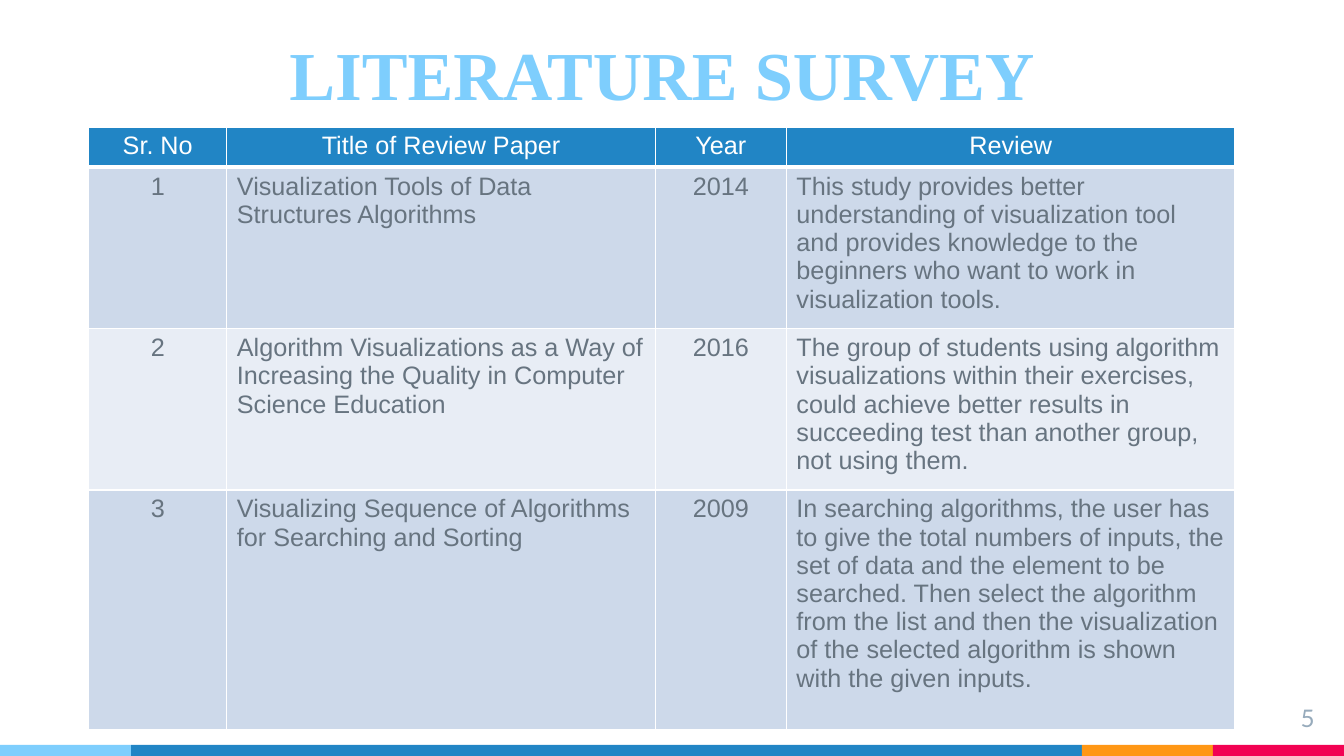
from typing import NamedTuple

from lxml import etree
from pptx import Presentation
from pptx.dml.color import RGBColor
from pptx.enum import shapes, text
from pptx.oxml import ns
from pptx.util import Inches, Pt

WHITE = RGBColor(0xFF, 0xFF, 0xFF)
SKY = RGBColor(0x7E, 0xCE, 0xFD)
BLUE = RGBColor(0x21, 0x85, 0xC5)
ORANGE = RGBColor(0xFF, 0x97, 0x15)
RED = RGBColor(0xF2, 0x02, 0x53)
SLATE = RGBColor(0x67, 0x74, 0x80)
PAGE_GRAY = RGBColor(0x97, 0xAB, 0xBC)
BAND_DARK = RGBColor(0xCD, 0xD9, 0xEA)
BAND_LIGHT = RGBColor(0xE8, 0xED, 0xF5)

CENTER, LEFT, RIGHT = text.PP_ALIGN.CENTER, text.PP_ALIGN.LEFT, text.PP_ALIGN.RIGHT


class Stripe(NamedTuple):
    width: float
    color: RGBColor


class Column(NamedTuple):
    heading: str
    width: float
    align: text.PP_ALIGN


class Paper(NamedTuple):
    title: str
    year: int
    review: str
    height: float


STRIPES = [Stripe(1.3, SKY), Stripe(9.43, BLUE), Stripe(1.3, ORANGE), Stripe(1.3, RED)]

COLUMNS = [
    Column("Sr. No", 1.37, CENTER),
    Column("Title of Review Paper", 4.25, LEFT),
    Column("Year", 1.3, CENTER),
    Column("Review", 4.45, LEFT),
]
HEADER_HEIGHT = 0.4

PAPERS = [
    Paper("Visualization Tools of Data Structures Algorithms", 2014,
          "This study provides better understanding of visualization tool and provides "
          "knowledge to the beginners who want to work in visualization tools.", 1.6),
    Paper("Algorithm Visualizations as a Way of Increasing the Quality in Computer "
          "Science Education", 2016,
          "The group of students using algorithm visualizations within their exercises, "
          "could achieve better results in succeeding test than another group, "
          "not using them.", 1.6),
    Paper("Visualizing Sequence of Algorithms for Searching and Sorting", 2009,
          "In searching algorithms, the user has to give the total numbers of inputs, "
          "the set of data and the element to be searched. Then select the algorithm "
          "from the list and then the visualization of the selected algorithm is shown "
          "with the given inputs.", 2.38),
]


def write(frame, wording: str, font_name: str, size: float, color: RGBColor,
          align: text.PP_ALIGN, bold: bool = False) -> None:
    frame.text = wording
    frame.word_wrap = True
    paragraph = frame.paragraphs[0]
    paragraph.alignment = align
    font = paragraph.runs[0].font
    font.name, font.size, font.bold = font_name, Pt(size), bold
    font.color.rgb = color


def set_margins(frame, margin: float) -> None:
    frame.margin_left = frame.margin_right = Inches(margin)
    frame.margin_top = frame.margin_bottom = Inches(margin)


def add_border(cell, side: str, points: float) -> None:
    line = etree.SubElement(cell._tc.get_or_add_tcPr(), ns.qn(f"a:ln{side}"), w=str(Pt(points)))
    fill = etree.SubElement(line, ns.qn("a:solidFill"))
    etree.SubElement(fill, ns.qn("a:srgbClr"), val=str(WHITE))


def fill_cell(cell, wording: str, color: RGBColor, fill: RGBColor,
              align: text.PP_ALIGN, top: float, bottom: float) -> None:
    write(cell.text_frame, wording, "Arial", 18, color, align)
    for side, points in (("L", 1), ("R", 1), ("T", top), ("B", bottom)):
        add_border(cell, side, points)
    cell.fill.solid()
    cell.fill.fore_color.rgb = fill


def add_stripes(slide) -> None:
    left = 0.0
    for stripe in STRIPES:
        bar = slide.shapes.add_shape(shapes.MSO_SHAPE.RECTANGLE, Inches(left), Inches(7.39),
                                     Inches(stripe.width), Inches(0.11))
        bar.shadow.inherit = False
        bar.fill.solid()
        bar.fill.fore_color.rgb = stripe.color
        bar.line.fill.background()
        left += stripe.width


def add_survey(slide) -> None:
    heights = [HEADER_HEIGHT] + [paper.height for paper in PAPERS]
    survey = slide.shapes.add_table(
        len(heights), len(COLUMNS), Inches(0.88), Inches(1.26),
        Inches(sum(column.width for column in COLUMNS)), Inches(sum(heights))).table
    for row, height in zip(survey.rows, heights):
        row.height = Inches(height)
    for index, column in enumerate(COLUMNS):
        survey.columns[index].width = Inches(column.width)
        fill_cell(survey.cell(0, index), column.heading, WHITE, BLUE, CENTER, 1, 3)
    for number, paper in enumerate(PAPERS, start=1):
        band = BAND_DARK if number % 2 else BAND_LIGHT
        entries = (str(number), paper.title, str(paper.year), paper.review)
        for index, entry in enumerate(entries):
            fill_cell(survey.cell(number, index), entry, SLATE, band,
                      COLUMNS[index].align, 3 if number == 1 else 1, 1)


presentation = Presentation()
presentation.slide_width = Inches(13.33)
presentation.slide_height = Inches(7.5)
slide = presentation.slides.add_slide(presentation.slide_layouts[5])

# Footer stripes
add_stripes(slide)

# Title
heading = slide.shapes.title
heading.left, heading.top = Inches(1.34), Inches(0.14)
heading.width, heading.height = Inches(10.45), Inches(1.12)
write(heading.text_frame, "LITERATURE SURVEY", "Times New Roman", 49, SKY, CENTER, bold=True)
heading.text_frame.auto_size = text.MSO_AUTO_SIZE.NONE
heading.text_frame.vertical_anchor = text.MSO_ANCHOR.BOTTOM
set_margins(heading.text_frame, 0.13)

# Page number
page_number = slide.shapes.add_textbox(Inches(12.37), Inches(6.85), Inches(0.8), Inches(0.46))
write(page_number.text_frame, "5", "Lato", 17.3, PAGE_GRAY, RIGHT)
set_margins(page_number.text_frame, 0.13)

# Survey table
add_survey(slide)

presentation.save("out.pptx")
